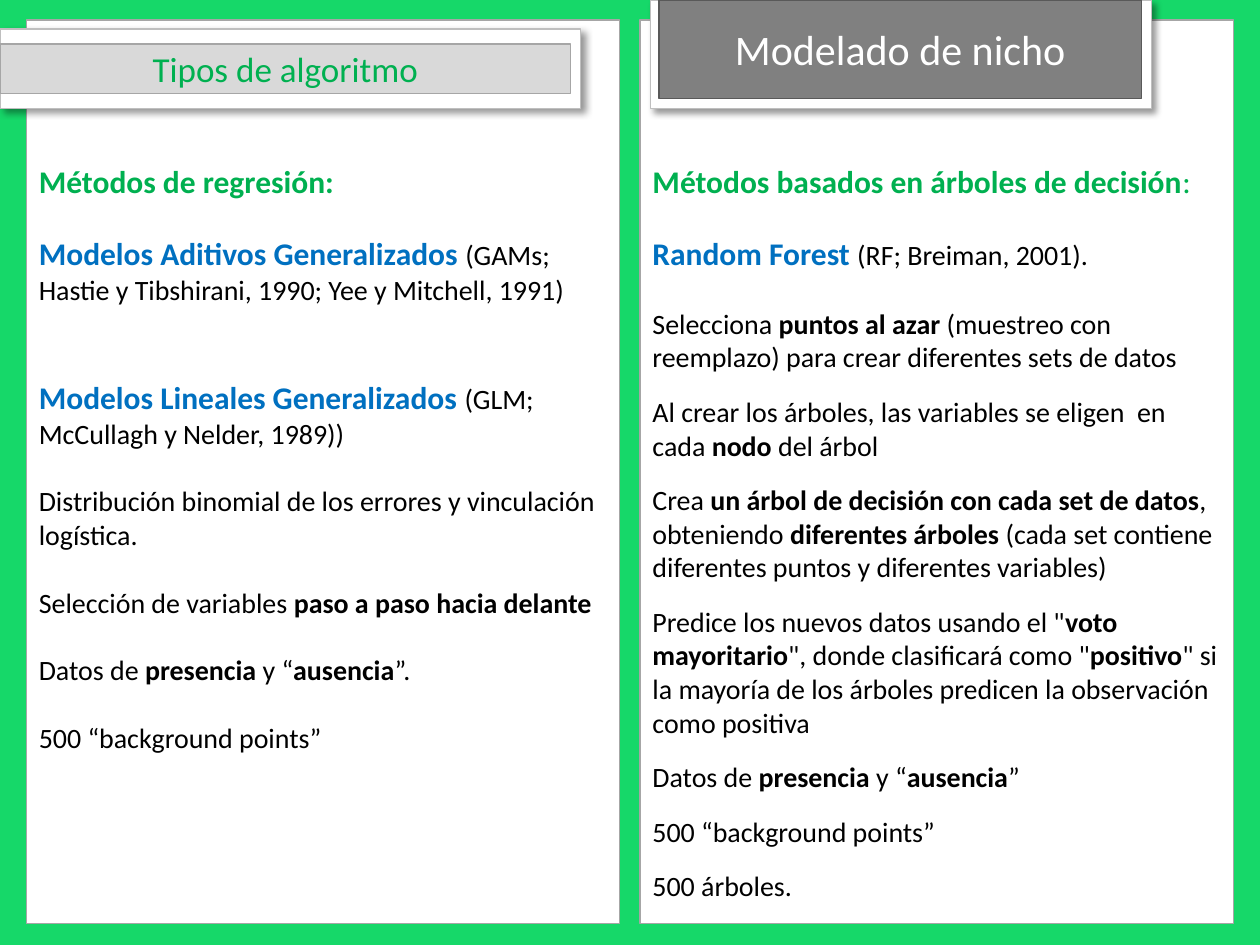
"""Build a slide comparing regression and decision-tree methods for niche modelling."""
from lxml.etree import SubElement
from pptx import Presentation
from pptx.dml.color import RGBColor
from pptx.enum.shapes import MSO_SHAPE
from pptx.enum.text import MSO_ANCHOR, MSO_AUTO_SIZE, PP_ALIGN
from pptx.oxml.ns import qn
from pptx.util import Inches, Pt

GREEN_BG = RGBColor(0x16, 0xD8, 0x69)
GREEN = RGBColor(0x00, 0xB0, 0x50)
BLUE = RGBColor(0x00, 0x70, 0xC0)
BLACK = RGBColor(0, 0, 0)
WHITE = RGBColor(0xFF, 0xFF, 0xFF)
PALE = RGBColor(0xD9, 0xD9, 0xD9)
SILVER = RGBColor(0xBF, 0xBF, 0xBF)
EDGE = RGBColor(0xA6, 0xA6, 0xA6)
GREY = RGBColor(0x80, 0x80, 0x80)
DARK = RGBColor(0x59, 0x59, 0x59)

HEAD, MODEL = (18, GREEN, True), (18, BLUE, True)
BODY, BOLD = (16, BLACK, False), (16, BLACK, True)
LINE_GAP, ITEM_GAP = 19.5, 12
PANEL_TOP, PANEL_W, PANEL_H = 0.16, 4.71, 7.17

REGRESSION = [
    (0, [("Métodos de regresión:", HEAD)]),
    (LINE_GAP, [("Modelos Aditivos Generalizados ", MODEL),
                ("(GAMs; Hastie y Tibshirani, 1990; Yee y Mitchell, 1991)", BODY)]),
    (41.5, [("Modelos Lineales Generalizados ", MODEL),
            ("(GLM; McCullagh y Nelder, 1989))", BODY)]),
    (LINE_GAP, [("Distribución binomial de los errores y vinculación logística.", BODY)]),
    (LINE_GAP, [("Selección de variables", BODY), (" paso a paso hacia delante", BOLD)]),
    (LINE_GAP, [("Datos de ", BODY), ("presencia", BOLD), (" y “", BODY),
                ("ausencia", BOLD), ("”.", BODY)]),
    (LINE_GAP, [("500 “background points”", BODY)]),
]
TREES = [
    (0, [("Métodos basados en árboles de decisión", HEAD), (":", (18, GREEN, False))]),
    (LINE_GAP, [("Random Forest ", MODEL), ("(RF; Breiman, 2001).", BODY)]),
    (LINE_GAP, [("Selecciona ", BODY), ("puntos al azar", BOLD),
                (" (muestreo con reemplazo) para crear diferentes sets de datos", BODY)]),
    (ITEM_GAP, [("Al crear los árboles, las variables se eligen  en cada ", BODY),
                ("nodo", BOLD), (" del árbol", BODY)]),
    (ITEM_GAP, [("Crea ", BODY), ("un árbol de decisión con cada set de datos", BOLD),
                (", obteniendo ", BODY), ("diferentes árboles ", BOLD),
                ("(cada set contiene diferentes puntos y diferentes variables)", BODY)]),
    (ITEM_GAP, [("Predice los nuevos datos usando el \"", BODY), ("voto mayoritario", BOLD),
                ("\", donde clasificará como \"", BODY), ("positivo", BOLD),
                ("\" si la mayoría de los árboles predicen la observación como positiva", BODY)]),
    (ITEM_GAP, [("Datos de ", BODY), ("presencia", BOLD), (" y “", BODY),
                ("ausencia", BOLD), ("”", BODY)]),
    (ITEM_GAP, [("500 “background points”", BODY)]),
    (ITEM_GAP, [("500 árboles.", BODY)]),
]

prs = Presentation()
prs.slide_width, prs.slide_height = Inches(10), Inches(7.5)
s = prs.slides.add_slide(prs.slide_layouts[5])
s.background.fill.solid()
s.background.fill.fore_color.rgb = GREEN_BG


def style_box(sp, box, fill, line, width=0.75):
    sp.left, sp.top, sp.width, sp.height = map(Inches, box)
    sp.fill.solid()
    sp.fill.fore_color.rgb = fill
    sp.line.color.rgb = line
    sp.line.width = Pt(width)
    return sp


def add_text(sp, paragraphs, align, anchor, top=0.05):
    tf = sp.text_frame
    tf.word_wrap, tf.auto_size = True, MSO_AUTO_SIZE.NONE
    tf.vertical_anchor, tf.margin_top = anchor, Inches(top)
    for i, (gap, runs) in enumerate(paragraphs):
        p = tf.add_paragraph() if i else tf.paragraphs[0]
        p.alignment, p.space_before = align, Pt(gap)
        for text, (size, color, bold) in runs:
            r = p.add_run()
            r.text = text
            r.font.name, r.font.size, r.font.bold = "Calibri", Pt(size), bold
            r.font.color.rgb = color


for left, paragraphs in ((0.21, REGRESSION), (5.08, TREES)):
    panel = s.shapes.add_shape(MSO_SHAPE.RECTANGLE, 0, 0, 0, 0)
    panel.shadow.inherit = False
    style_box(panel, (left, PANEL_TOP, PANEL_W, PANEL_H), WHITE, EDGE)
    add_text(panel, paragraphs, PP_ALIGN.LEFT, MSO_ANCHOR.TOP, 1.13)

for box, width in (((5.16, 0, 3.98, 0.86), 0.5), ((0, 0.23, 4.61, 0.63), 0.75)):
    frame = s.shapes.add_shape(MSO_SHAPE.RECTANGLE, 0, 0, 0, 0)
    frame.shadow.inherit = False
    style_box(frame, box, WHITE, SILVER, width)
    effects = frame.element.spPr.find(qn("a:effectLst"))
    shadow = SubElement(effects, qn("a:outerShdw"), blurRad=str(Pt(4)), dist=str(Pt(3)),
                        dir=str(45 * 60000), algn="tl", rotWithShape="0")
    color = SubElement(shadow, qn("a:srgbClr"), val=str(BLACK))
    SubElement(color, qn("a:alpha"), val="40000")

subtitle = s.shapes.add_shape(MSO_SHAPE.RECTANGLE, 0, 0, 0, 0)
subtitle.shadow.inherit = False
style_box(subtitle, (0, 0.35, 4.53, 0.39), PALE, EDGE)
add_text(subtitle, [(0, [("Tipos de algoritmo", (20, GREEN, False))])],
         PP_ALIGN.CENTER, MSO_ANCHOR.MIDDLE)

title = style_box(s.shapes.title, (5.23, 0, 3.83, 0.78), GREY, DARK)
add_text(title, [(0, [("Modelado de nicho", (24, WHITE, False))])],
         PP_ALIGN.CENTER, MSO_ANCHOR.MIDDLE)
title.element.getparent().append(title.element)

prs.save("out.pptx")
